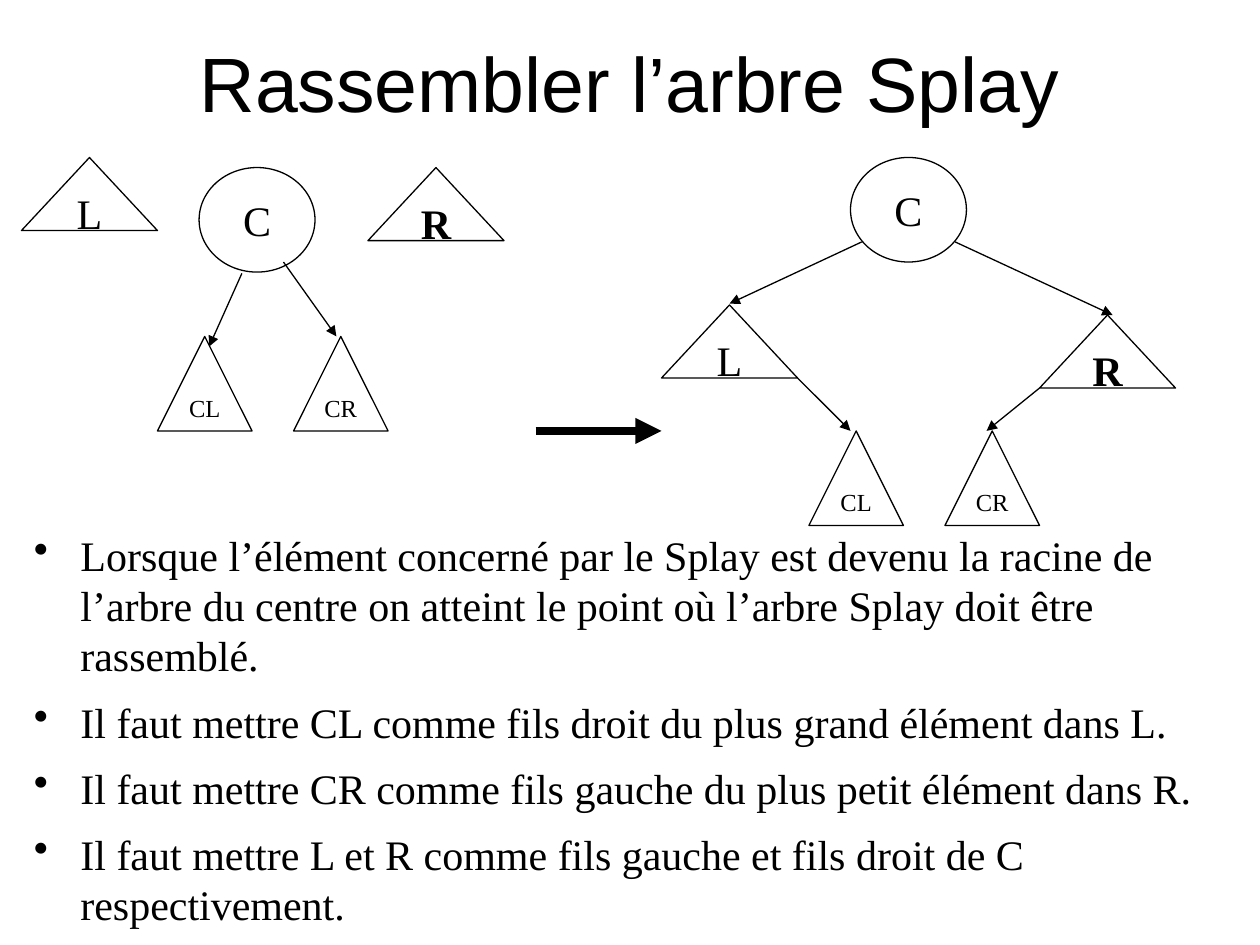
"""Build the slide that shows how a splay tree is reassembled."""
from dataclasses import dataclass

from lxml import etree
from pptx import Presentation
from pptx.dml.color import RGBColor
from pptx.enum.shapes import MSO_CONNECTOR, MSO_SHAPE
from pptx.enum.text import MSO_ANCHOR, PP_ALIGN
from pptx.oxml.ns import qn
from pptx.util import Inches, Pt

CIRCLE = MSO_SHAPE.OVAL
TRIANGLE = MSO_SHAPE.FLOWCHART_EXTRACT
STRAIGHT = MSO_CONNECTOR.STRAIGHT
MIDDLE = MSO_ANCHOR.MIDDLE
CENTER = PP_ALIGN.CENTER
BLACK, WHITE = "000000", "FFFFFF"
SANS, SERIF = "Arial", "Times New Roman"


@dataclass(frozen=True)
class NodeStyle:
    outline: int
    width: float
    height: float
    size: int


@dataclass(frozen=True)
class Node:
    label: str
    left: float
    top: float
    style: NodeStyle
    bold: bool = False


@dataclass(frozen=True)
class Arrow:
    start: tuple[float, float]
    end: tuple[float, float]
    weight: float = 0.75


ROOT = NodeStyle(CIRCLE, 0.92, 0.83, 24)
TREE = NodeStyle(TRIANGLE, 1.08, 0.58, 24)
CHILD = NodeStyle(TRIANGLE, 0.75, 0.75, 14)

NODES = [
    Node("C", 1.58, 1.33, ROOT),
    Node("CL", 1.25, 2.67, CHILD),
    Node("CR", 2.33, 2.67, CHILD),
    Node("L", 0.17, 1.25, TREE),
    Node("R", 2.92, 1.33, TREE, bold=True),
    Node("C", 6.75, 1.25, ROOT),
    Node("L", 5.25, 2.42, TREE),
    Node("R", 8.25, 2.5, TREE, bold=True),
    Node("CL", 6.42, 3.42, CHILD),
    Node("CR", 7.5, 3.42, CHILD),
]

ARROWS = [
    Arrow((1.92, 2.17), (1.66, 2.75)),
    Arrow((2.25, 2.08), (2.67, 2.67)),
    Arrow((4.25, 3.42), (5.25, 3.42), weight=5),
    Arrow((6.84, 1.92), (5.79, 2.41)),
    Arrow((7.58, 1.92), (8.83, 2.5)),
    Arrow((6.33, 3), (6.75, 3.42)),
    Arrow((8.25, 3.08), (7.83, 3.42)),
]

STEPS = [
    "Lorsque l’élément concerné par le Splay est devenu la racine de l’arbre "
    "du centre on atteint le point où l’arbre Splay doit être rassemblé.",
    "Il faut mettre CL comme fils droit du plus grand élément dans L.",
    "Il faut mettre CR comme fils gauche du plus petit élément dans R.",
    "Il faut mettre L et R comme fils gauche et fils droit de C respectivement.",
]


def paint(color_format, color: str) -> None:
    """Set a colour from a hex string."""
    color_format.rgb = RGBColor.from_string(color)


def add_span(para, text: str, size: int, font: str = SERIF, bold: bool = False) -> None:
    """Append one formatted run to a paragraph."""
    span = para.add_run()
    span.text = text
    span.font.name = font
    span.font.size = Pt(size)
    span.font.bold = bold
    paint(span.font.color, BLACK)


def add_title(page, text: str) -> None:
    """Add the centred title."""
    box = page.shapes.add_textbox(Inches(0.75), Inches(0.33), Inches(8.5), Inches(0.75))
    frame = box.text_frame
    frame.word_wrap = True
    frame.vertical_anchor = MIDDLE
    frame.margin_left = frame.margin_right = Inches(0)
    frame.margin_top = frame.margin_bottom = Inches(0)
    para = frame.paragraphs[0]
    para.alignment = CENTER
    para.line_spacing = 0.87
    add_span(para, text, 44, SANS)


def add_node(page, node: Node) -> None:
    """Draw one labelled node of a tree."""
    style = node.style
    shape = page.shapes.add_shape(
        style.outline, Inches(node.left), Inches(node.top), Inches(style.width), Inches(style.height)
    )
    shape.shadow.inherit = False
    shape.fill.solid()
    paint(shape.fill.fore_color, WHITE)
    paint(shape.line.color, BLACK)
    shape.line.width = Pt(0.75)
    frame = shape.text_frame
    frame.word_wrap = False
    frame.vertical_anchor = MIDDLE
    para = frame.paragraphs[0]
    para.alignment = CENTER
    add_span(para, node.label, style.size, bold=node.bold)


def add_arrow(page, arrow: Arrow) -> None:
    """Draw a straight line with a triangular head at its end."""
    points = [Inches(value) for value in arrow.start + arrow.end]
    line = page.shapes.add_connector(STRAIGHT, *points)
    paint(line.line.color, BLACK)
    line.line.width = Pt(arrow.weight)
    etree.SubElement(line.line._get_or_add_ln(), qn("a:tailEnd"), type="triangle")
    etree.SubElement(line._element.spPr, qn("a:effectLst"))


def add_bullet(para) -> None:
    """Give a paragraph a black bullet and a hanging indent."""
    properties = para._p.get_or_add_pPr()
    properties.set("marL", str(Inches(0.37)))
    properties.set("indent", str(Inches(-0.37)))
    color = etree.SubElement(properties, qn("a:buClr"))
    etree.SubElement(color, qn("a:srgbClr"), val=BLACK)
    etree.SubElement(properties, qn("a:buChar"), char="•")


def add_steps(page, steps: list[str]) -> None:
    """Add the bulleted explanation."""
    box = page.shapes.add_textbox(Inches(0.17), Inches(4.15), Inches(9.83), Inches(3.27))
    frame = box.text_frame
    frame.word_wrap = True
    for index, step in enumerate(steps):
        para = frame.add_paragraph() if index else frame.paragraphs[0]
        para.space_before = Pt(9)
        add_bullet(para)
        add_span(para, step, 24)


def main() -> None:
    """Build and save the deck."""
    deck = Presentation()
    deck.slide_width, deck.slide_height = Inches(10), Inches(7.5)
    page = deck.slides.add_slide(deck.slide_layouts[6])
    add_title(page, "Rassembler l’arbre Splay")
    for node in NODES:
        add_node(page, node)
    for arrow in ARROWS:
        add_arrow(page, arrow)
    add_steps(page, STEPS)
    deck.save("out.pptx")


if __name__ == "__main__":
    main()
